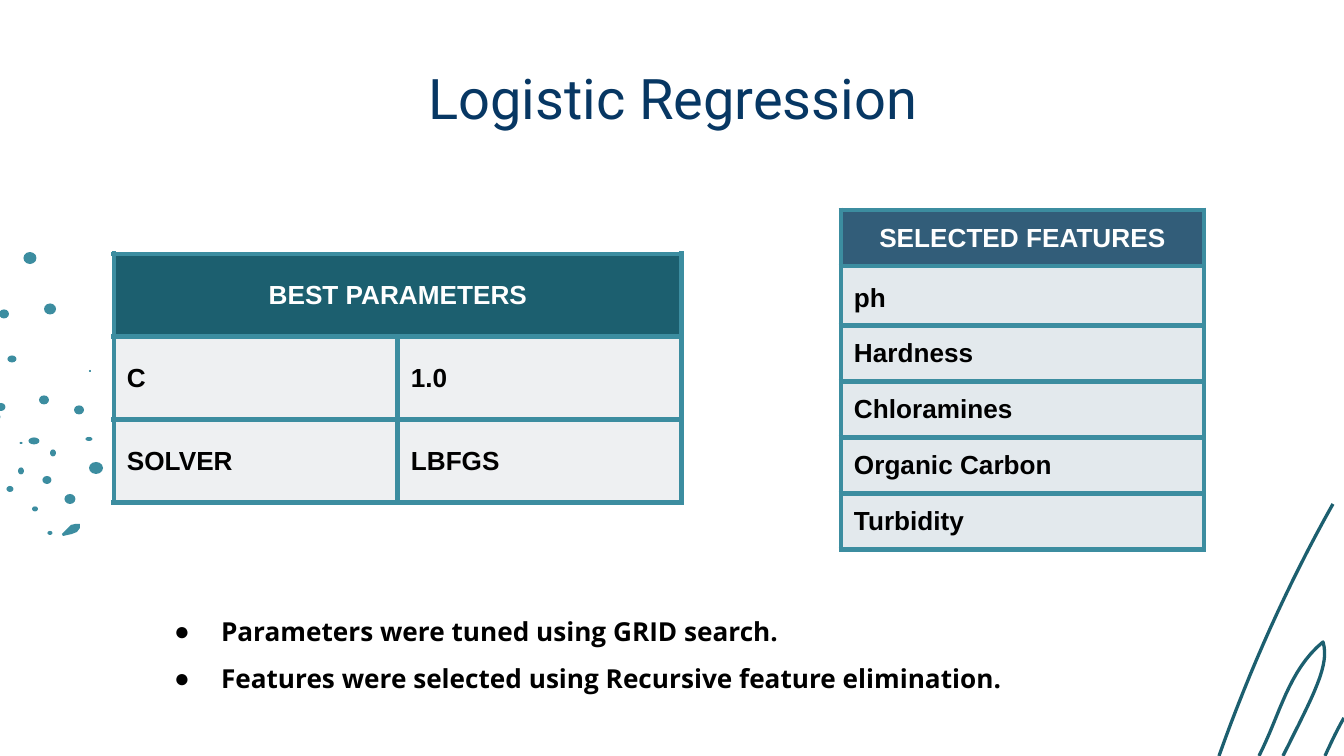
from lxml import etree
from pptx import Presentation
from pptx.dml.color import RGBColor
from pptx.enum.shapes import MSO_SHAPE
from pptx.enum.text import MSO_ANCHOR, MSO_AUTO_SIZE, PP_ALIGN
from pptx.oxml import parse_xml
from pptx.oxml.ns import nsdecls, qn
from pptx.util import Pt

OVAL = MSO_SHAPE.OVAL
TOP, MIDDLE = MSO_ANCHOR.TOP, MSO_ANCHOR.MIDDLE
LEFT, CENTER = PP_ALIGN.LEFT, PP_ALIGN.CENTER
PX = 914400 / 134.4
INSET = 13
COLORS = {
    "navy": "073763", "teal": "3C8DA0", "deep": "1C5F6F", "slate": "325D79",
    "pale": "EEF0F2", "mist": "E3E9ED", "white": "FFFFFF", "black": "000000",
}


def emu(*lengths):
    return [round(length * PX) for length in lengths]


def write(para, text, font="Arial", size=14, color="black", bold=True, align=LEFT, spacing=1.0):
    para.alignment = align
    para.line_spacing = spacing
    para.space_before = Pt(0)
    span = para.add_run()
    span.text = text
    span.font.name = font
    span.font.size = Pt(size)
    span.font.bold = bold
    span.font.color.rgb = RGBColor.from_string(COLORS[color])


deck = Presentation()
deck.slide_width, deck.slide_height = emu(1344, 756)
page = deck.slides.add_slide(deck.slide_layouts[1])
title, body = page.placeholders

dots = [
    (30, 258, 13, 12), (50, 309, 12, 11), (4, 314, 10, 9), (12, 359, 9, 7),
    (90, 371, 2, 2), (44, 400, 10, 9), (79, 410, 10, 9), (1, 407, 9, 8),
    (-8, 417, 17, 15), (34, 441, 11, 7), (89, 439, 7, 4), (21, 443, 3, 2),
    (53, 453, 6, 7), (96, 468, 14, 12), (21, 471, 6, 7), (47, 480, 9, 8),
    (10, 489, 7, 6), (70, 499, 11, 10), (35, 509, 6, 5), (50, 533, 5, 4),
]
splashes = [
    page.shapes.add_shape(OVAL, *emu(x - width / 2, y - height / 2, width, height))
    for x, y, width, height in dots
]
leaf = page.shapes.build_freeform(62, 534, scale=PX)
leaf.add_line_segments([(71, 525), (75, 524), (80, 524), (80, 528), (77, 532), (72, 534), (63, 536)])
splashes.append(leaf.convert_to_shape())
for splash in splashes:
    splash.shadow.inherit = False
    splash.fill.solid()
    splash.fill.fore_color.rgb = RGBColor.from_string(COLORS["teal"])
    splash.line.fill.background()

STEPS = 16
strands = [
    [[(1333, 504), (1288, 584), (1250, 669), (1219, 756)]],
    [
        [(1259, 756), (1280, 715), (1288, 671), (1323, 642)],
        [(1323, 642), (1330, 665), (1314, 694), (1283, 756)],
    ],
    [[(1325, 756), (1331, 743), (1337, 730), (1344, 718)]],
]
for curves in strands:
    points = []
    for curve in curves:
        for step in range(1, STEPS + 1):
            t = step / STEPS
            weights = [(1 - t) ** 3, 3 * t * (1 - t) ** 2, 3 * t * t * (1 - t), t ** 3]
            points.append([sum(w * point[axis] for w, point in zip(weights, curve)) for axis in (0, 1)])
    start_x, start_y = curves[0][0]
    builder = page.shapes.build_freeform(start_x * PX, start_y * PX)
    builder.add_line_segments([emu(*point) for point in points], close=False)
    strand = builder.convert_to_shape()
    strand.shadow.inherit = False
    strand.fill.background()
    strand.line.color.rgb = RGBColor.from_string(COLORS["deep"])
    strand.line.width = Pt(1.75)

for holder, bounds, anchor in [
    (title, (109, 55, 1128, 85), MIDDLE),
    (body, (141, 587, 900, 106), TOP),
]:
    holder.left, holder.top, holder.width, holder.height = emu(*bounds)
    frame = holder.text_frame
    frame.word_wrap = True
    frame.auto_size = MSO_AUTO_SIZE.NONE
    frame.vertical_anchor = anchor
    frame.margin_left, frame.margin_top, frame.margin_right, frame.margin_bottom = emu(*[INSET] * 4)

write(title.text_frame.paragraphs[0], "Logistic Regression",
      font="Roboto", size=30, color="navy", bold=False, align=CENTER)

notes = [
    "Parameters were tuned using GRID search.",
    "Features were selected using Recursive feature elimination.",
]
for index, note in enumerate(notes):
    para = body.text_frame.paragraphs[0] if index == 0 else body.text_frame.add_paragraph()
    properties = para._p.get_or_add_pPr()
    margin, indent = emu(67, -47)
    properties.set("marL", str(margin))
    properties.set("indent", str(indent))
    bullet_color = etree.SubElement(properties, qn("a:buClr"))
    etree.SubElement(bullet_color, qn("a:srgbClr"), val=COLORS["black"])
    etree.SubElement(properties, qn("a:buChar"), char="●")
    write(para, note, font="Open Sans", spacing=1.5)

parameters = [["BEST PARAMETERS", ""], ["C", "1.0"], ["SOLVER", "LBFGS"]]
features = [["SELECTED FEATURES"], ["ph"], ["Hardness"], ["Chloramines"], ["Organic Carbon"], ["Turbidity"]]
tables = [
    (parameters, 114, 254, 284, 83, "deep", "pale", MIDDLE),
    (features, 841, 210, 363, 56, "slate", "mist", TOP),
]
for rows, left, top, column_width, row_height, head_fill, body_fill, body_anchor in tables:
    columns = len(rows[0])
    bounds = emu(left, top, column_width * columns, row_height * len(rows))
    table = page.shapes.add_table(len(rows), columns, *bounds).table
    for row_index, row in enumerate(rows):
        for column_index, text in enumerate(row):
            is_head = row_index == 0
            cell = table.cell(row_index, column_index)
            cell.margin_left, cell.margin_top, cell.margin_right, cell.margin_bottom = emu(*[INSET] * 4)
            cell.vertical_anchor = MIDDLE if is_head else body_anchor
            cell.fill.solid()
            cell.fill.fore_color.rgb = RGBColor.from_string(COLORS[head_fill if is_head else body_fill])
            for position, side in enumerate(("lnL", "lnR", "lnT", "lnB")):
                border = parse_xml(
                    f'<a:{side} {nsdecls("a")} w="{Pt(3)}"><a:solidFill>'
                    f'<a:srgbClr val="{COLORS["teal"]}"/></a:solidFill></a:{side}>'
                )
                cell._tc.get_or_add_tcPr().insert(position, border)
            if text:
                write(cell.text_frame.paragraphs[0], text,
                      color="white" if is_head else "black",
                      align=CENTER if is_head else LEFT,
                      spacing=1.15 if text == "ph" else 1.0)
    if columns > 1:
        table.cell(0, 0).merge(table.cell(0, columns - 1))

deck.save("out.pptx")
